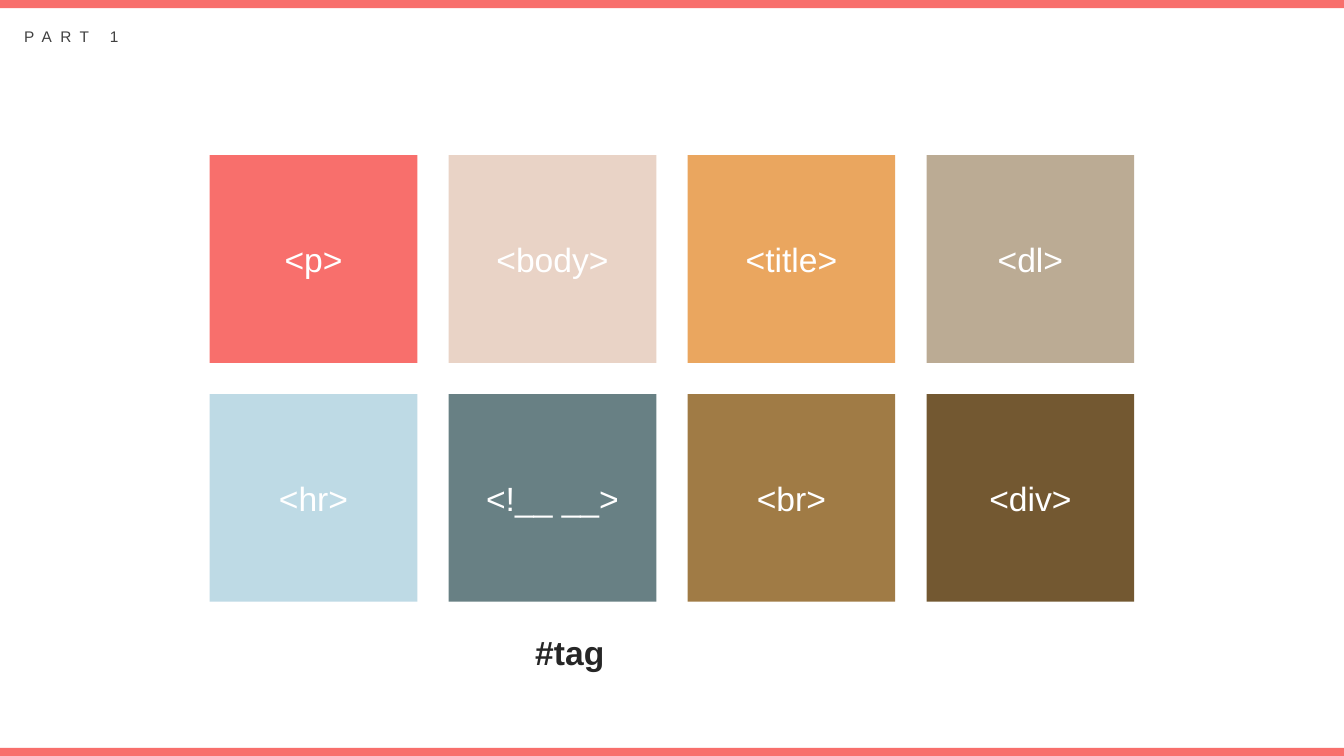
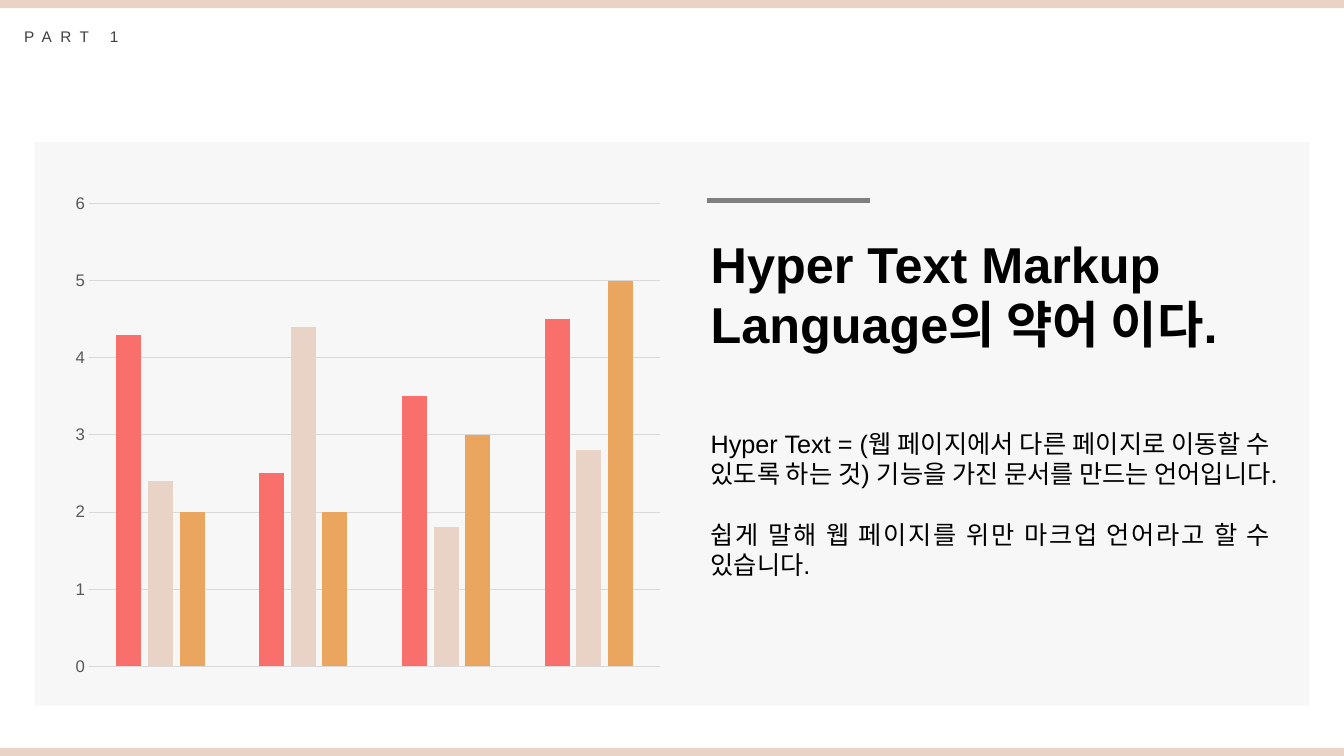
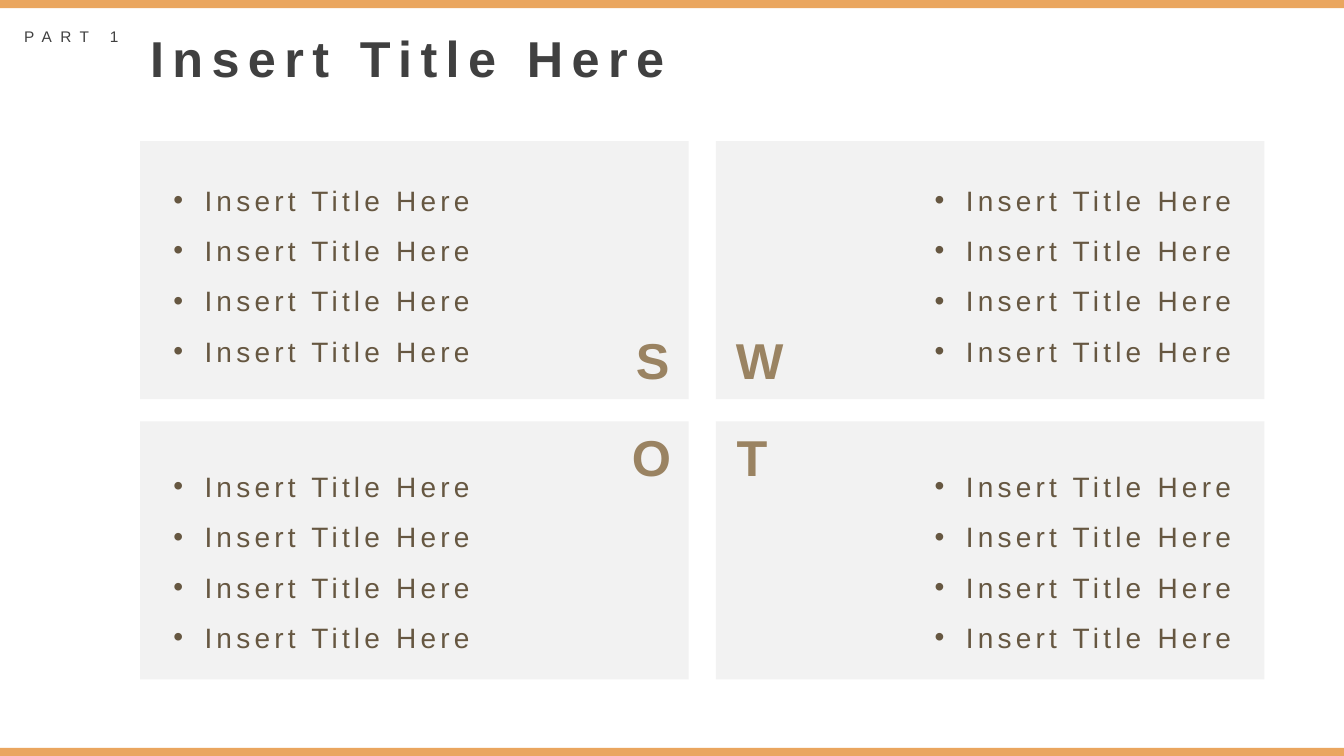
import lxml.etree
import pptx
import pptx.chart.data
import pptx.dml.color
import pptx.enum.chart
import pptx.enum.shapes
import pptx.enum.text
import pptx.oxml.ns
import pptx.util

RGBColor = pptx.dml.color.RGBColor
Inches = pptx.util.Inches
Pt = pptx.util.Pt
ALIGN = pptx.enum.text.PP_ALIGN
ANCHOR = pptx.enum.text.MSO_ANCHOR
qn = pptx.oxml.ns.qn

WIDTH, HEIGHT, BAND = 13.33, 7.5, 0.08
FONT = "Arial"

CORAL = RGBColor(0xF8, 0x6F, 0x6C)
BLUSH = RGBColor(0xE9, 0xD3, 0xC6)
ORANGE = RGBColor(0xEA, 0xA6, 0x5F)
TAUPE = RGBColor(0xBB, 0xAB, 0x94)
SKY = RGBColor(0xBE, 0xDA, 0xE5)
SLATE = RGBColor(0x68, 0x80, 0x84)
BRONZE = RGBColor(0xA0, 0x7B, 0x45)
BROWN = RGBColor(0x73, 0x58, 0x31)
LETTER = RGBColor(0x9A, 0x83, 0x62)
BULLET = RGBColor(0x66, 0x57, 0x41)
WHITE = RGBColor(0xFF, 0xFF, 0xFF)
BLACK = RGBColor(0, 0, 0)
INK = RGBColor(0x26, 0x26, 0x26)
DARK = RGBColor(0x40, 0x40, 0x40)
AXIS_TEXT = RGBColor(0x59, 0x59, 0x59)
RULE = RGBColor(0x80, 0x80, 0x80)
GRID = RGBColor(0xD9, 0xD9, 0xD9)
CHART_PANEL = RGBColor(0xF7, 0xF7, 0xF7)
SWOT_PANEL = RGBColor(0xF2, 0xF2, 0xF2)

PART = "PART 1"
TILES = [
    [("<p>", CORAL), ("<body>", BLUSH), ("<title>", ORANGE), ("<dl>", TAUPE)],
    [("<hr>", SKY), ("<!__ __>", SLATE), ("<br>", BRONZE), ("<div>", BROWN)],
]
TAG = "#tag"

HEADLINE = "Hyper Text Markup Language의 약어 이다."
EXPLANATION = [
    "Hyper Text = (웹 페이지에서 다른 페이지로 이동할 수 있도록 하는 것) 기능을 가진 문서를 만드는 언어입니다.",
    "쉽게 말해 웹 페이지를 위만 마크업 언어라고 할 수 있습니다.",
]
CATEGORIES = ["1", "2", "3", "4"]
SERIES = [
    ("Series 1", (4.3, 2.5, 3.5, 4.5), CORAL),
    ("Series 2", (2.4, 4.4, 1.8, 2.8), BLUSH),
    ("Series 3", (2, 2, 3, 5), ORANGE),
]

SWOT_TITLE = "Insert Title Here"
POINTS = ["Insert Title Here"] * 4
# letter, its offset in the panel, its alignment
SWOT = [
    [("S", 4.69, 1.82, ALIGN.RIGHT), ("W", 0.1, 1.82, ALIGN.RIGHT)],
    [("O", 4.78, 0, ALIGN.LEFT), ("T", 0.03, 0, ALIGN.CENTER)],
]


def inches(*lengths):
    return [Inches(length) for length in lengths]


def write(frame, lines, size, color, bold=False, align=ALIGN.LEFT, tracking=0, **layout):
    """Fill a text frame; layout holds paragraph settings, tracking is in points."""
    for number, line in enumerate(lines):
        para = frame.paragraphs[0] if number == 0 else frame.add_paragraph()
        para.alignment = align
        for name, value in layout.items():
            setattr(para, name, value)
        span = para.add_run()
        span.text = line
        for name, value in dict(name=FONT, size=Pt(size), bold=bold).items():
            setattr(span.font, name, value)
        span.font.color.rgb = color
        if tracking:
            span.font._element.set("spc", str(tracking * 100))


def add_text(page, at, lines, size, color, wrap=False, **style):
    box = page.shapes.add_textbox(*inches(*at))
    box.text_frame.word_wrap = wrap
    box.text_frame.auto_size = pptx.enum.text.MSO_AUTO_SIZE.SHAPE_TO_FIT_TEXT
    write(box.text_frame, lines, size, color, **style)
    return box


def add_block(page, at, fill):
    block = page.shapes.add_shape(pptx.enum.shapes.MSO_SHAPE.RECTANGLE, *inches(*at))
    block.shadow.inherit = False
    block.fill.solid()
    block.fill.fore_color.rgb = fill
    block.line.fill.background()
    return block


def add_bullets(box, indent=0.31):
    for para in box.text_frame.paragraphs:
        props = para._p.get_or_add_pPr()
        props.set("marL", str(Inches(indent)))
        props.set("indent", str(-Inches(indent)))
        lxml.etree.SubElement(props, qn("a:buFont")).set("typeface", FONT)
        lxml.etree.SubElement(props, qn("a:buChar")).set("char", "•")


def add_page(deck, accent):
    page = deck.slides.add_slide(deck.slide_layouts[6])
    for top in (0, HEIGHT - BAND):
        add_block(page, (0, top, WIDTH, BAND), accent)
    add_text(page, (0.14, 0.22, 1.25, 0.29), [PART], 11, DARK, tracking=6)
    return page


def build_tags(deck):
    page = add_page(deck, CORAL)
    left, top, side, pitch = 2.08, 1.54, 2.06, 2.37
    for row, tiles in enumerate(TILES):
        for column, (label, fill) in enumerate(tiles):
            at = (left + column * pitch, top + row * pitch, side, side)
            frame = add_block(page, at, fill).text_frame
            frame.vertical_anchor = ANCHOR.MIDDLE
            write(frame, [label], 24, WHITE, align=ALIGN.CENTER)
    add_text(page, (5.21, 6.22, 0.89, 0.5), [TAG], 24, INK, bold=True)


def add_columns(page, at):
    data = pptx.chart.data.CategoryChartData()
    data.categories = CATEGORIES
    for name, values, _ in SERIES:
        data.add_series(name, values)
    kind = pptx.enum.chart.XL_CHART_TYPE.COLUMN_CLUSTERED
    chart = page.shapes.add_chart(kind, *inches(*at), data).chart
    chart.has_legend = chart.has_title = False
    chart.font.name, chart.font.size = FONT, Pt(10)
    chart.font.color.rgb = BLACK

    plot = chart.plots[0]
    for name, value in dict(gap_width=219, overlap=-27, vary_by_categories=False).items():
        setattr(plot, name, value)
    for series, (_, _, color) in zip(plot.series, SERIES):
        series.format.fill.solid()
        series.format.fill.fore_color.rgb = color

    chart.category_axis.visible = False
    axis = chart.value_axis
    no_tick = pptx.enum.chart.XL_TICK_MARK.NONE
    settings = dict(minimum_scale=0, maximum_scale=6, major_unit=1, has_major_gridlines=True,
                    major_tick_mark=no_tick, minor_tick_mark=no_tick)
    for name, value in settings.items():
        setattr(axis, name, value)
    axis.format.line.fill.background()
    axis.major_gridlines.format.line.color.rgb = GRID
    axis.major_gridlines.format.line.width = Pt(0.75)
    labels = axis.tick_labels
    labels.font.name, labels.font.size = FONT, Pt(12)
    labels.font.color.rgb = AXIS_TEXT
    labels.number_format, labels.number_format_is_linked = "General", False


def build_definition(deck):
    page = add_page(deck, BLUSH)
    add_block(page, (0.34, 1.41, 12.65, 5.59), CHART_PANEL)
    add_columns(page, (0.63, 1.83, 6.04, 4.97))
    left, width = 6.95, 5.75
    box = add_text(page, (left, 4.2, width, 1.92), EXPLANATION, 18, BLACK,
                   wrap=True, align=ALIGN.JUSTIFY)
    box.text_frame.paragraphs[1].space_before = Pt(21.5)
    add_text(page, (left, 2.26, width, 1.31), [HEADLINE], 36, BLACK, wrap=True, bold=True)
    straight = pptx.enum.shapes.MSO_CONNECTOR.STRAIGHT
    rule = page.shapes.add_connector(straight, *inches(7.01, 1.99, 8.63, 1.99))
    rule.line.color.rgb = RULE
    rule.line.width = Pt(3)
    lxml.etree.SubElement(rule._element.spPr, qn("a:effectLst"))


def build_swot(deck):
    page = add_page(deck, ORANGE)
    left, top, width, height = 1.39, 1.4, 5.44, 2.56
    column_pitch, row_pitch = 5.71, 2.78
    list_width, list_margin = 3.21, 0.23
    add_text(page, (left, 0.22, width, 0.71), [SWOT_TITLE], 36, DARK, bold=True, tracking=6)
    for row, panels in enumerate(SWOT):
        for column, (letter, across, down, align) in enumerate(panels):
            x, y = left + column * column_pitch, top + row * row_pitch
            add_block(page, (x, y, width, height), SWOT_PANEL)
            add_text(page, (x + across, y + down, 0.66, 0.71), [letter], 36, LETTER,
                     wrap=True, bold=True, align=align)
            list_x = x + (width - list_width - list_margin if column else list_margin)
            list_y = y + 0.2 + row * 0.06
            points = add_text(page, (list_x, list_y, list_width, 2.06), POINTS, 20, BULLET,
                              align=ALIGN.RIGHT if column else ALIGN.LEFT,
                              tracking=3, line_spacing=1.5)
            add_bullets(points)


def main():
    deck = pptx.Presentation()
    deck.slide_width, deck.slide_height = inches(WIDTH, HEIGHT)
    for build in (build_tags, build_definition, build_swot):
        build(deck)
    deck.save("out.pptx")


if __name__ == "__main__":
    main()
